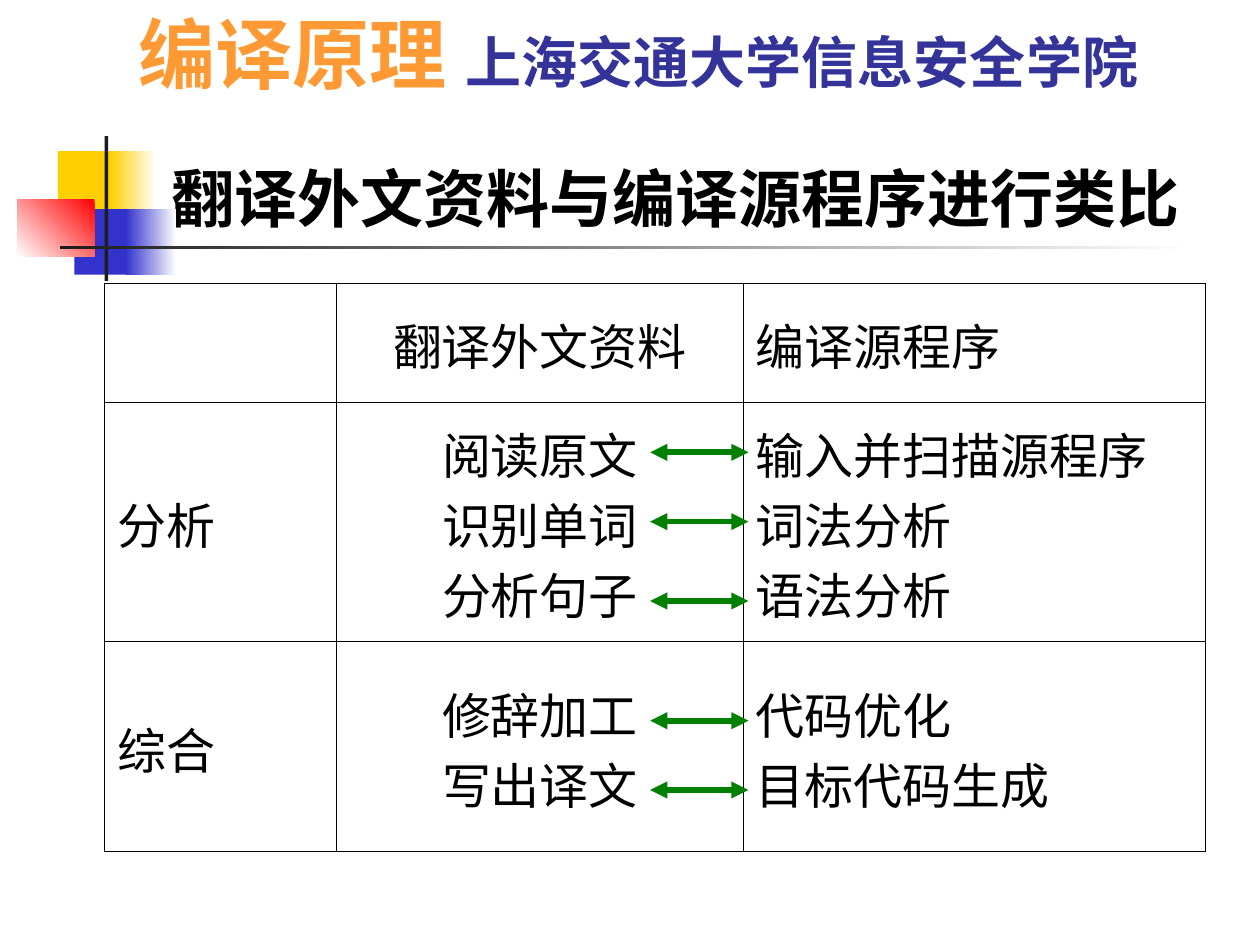
from pptx import Presentation
from pptx.dml.color import RGBColor
from pptx.enum.lang import MSO_LANGUAGE_ID as LANG
from pptx.enum.shapes import MSO_CONNECTOR as CONN, MSO_SHAPE as SHAPE
from pptx.enum.text import MSO_ANCHOR as ANCHOR, MSO_AUTO_SIZE as AUTO, PP_ALIGN as ALIGN
from pptx.oxml.ns import qn
from pptx.util import Inches, Pt
from lxml.etree import SubElement

COLS, ROWS = 100, 75
WIDTH, HEIGHT = Inches(10), Inches(7.5)
FONT = "Roboto"
COLORS = {
    "white": "FFFFFF", "black": "000000", "yellow": "FFCF01", "blue": "3333CC",
    "red": "FF0000", "bar": "1C1C1C", "orange": "FF9933", "navy": "333399",
    "green": "008000",
}
HEADER = [("编译原理 ", 44, "orange"), ("上海交通大学信息安全学院", 32, "navy")]
TITLE = "翻译外文资料与编译源程序进行类比"
TABLE = [
    ["", "翻译外文资料", "编译源程序"],
    ["分析", "阅读原文\n识别单词\n分析句子", "输入并扫描源程序\n词法分析\n语法分析"],
    ["综合", "修辞加工\n写出译文", "代码优化\n目标代码生成"],
]
COL_WIDTHS = [18.4, 32.3, 36.7]
ROW_HEIGHTS = [9.4, 19, 16.7]
ORNAMENT = [
    (3.2, 1.2, 4.8, 5.2, ["yellow"], 0),
    (7.4, 1.2, 3.6, 5.2, ["white", "yellow"], 180),
    (4.5, 5.8, 4.6, 5.2, ["blue"], 0),
    (8.6, 5.8, 4, 5.2, ["white", "blue"], 180),
    (0, 5, 6.1, 4.6, ["red", "white"], 225),
    (6.9, 0, 0.3, 11.5, ["bar"], 0),
    (3.4, 8.7, 90, 0.3, ["white", "bar"], 180),
]
ARROW_LEFT, ARROW_SPAN = 43.3, 7.8
ARROW_ROWS = [13.4, 18.9, 25.2, 34.7, 40.2]


def rgb(name):
    """Return the named colour."""
    return RGBColor.from_string(COLORS[name])


def grid(x, y, w=0, h=0):
    """Turn grid columns and rows into slide lengths."""
    cw, rh = WIDTH / COLS, HEIGHT / ROWS
    return int(x * cw), int(y * rh), int(w * cw), int(h * rh)


def format_run(r, size, color, bold=False):
    """Give a run its font, size and colour."""
    f = r.font
    f.name, f.size, f.bold = FONT, Pt(size), bold
    f.color.rgb = rgb(color)
    f.language_id = LANG.SIMPLIFIED_CHINESE
    SubElement(f._element, qn("a:ea"), typeface=FONT)


def add_ornament(s, x, y):
    """Draw the colour blocks and crossing bars from a top left corner."""
    for dx, dy, w, h, colors, angle in ORNAMENT:
        sp = s.shapes.add_shape(SHAPE.RECTANGLE, *grid(x + dx, y + dy, w, h))
        sp.shadow.inherit = False
        sp.line.fill.background()
        if len(colors) == 1:
            sp.fill.solid()
            sp.fill.fore_color.rgb = rgb(colors[0])
            continue
        sp.fill.gradient()
        sp.fill.gradient_angle = angle
        for stop, color in zip(sp.fill.gradient_stops, colors):
            stop.color.rgb = rgb(color)


def add_header(s, box):
    """Write the course and school line."""
    tf = s.shapes.add_textbox(*grid(*box)).text_frame
    tf.word_wrap = True
    for text, size, color in HEADER:
        r = tf.paragraphs[0].add_run()
        r.text = text
        format_run(r, size, color, bold=True)


def add_title(s, box):
    """Place and format the slide title."""
    sp = s.shapes.title
    sp.left, sp.top, sp.width, sp.height = grid(*box)
    tf = sp.text_frame
    tf.text = TITLE
    tf.auto_size, tf.vertical_anchor = AUTO.NONE, ANCHOR.BOTTOM
    p = tf.paragraphs[0]
    p.alignment = ALIGN.LEFT
    format_run(p.runs[0], 36, "black", bold=True)


def set_borders(cell, top):
    """Rule the four sides of a cell in black."""
    tc_pr = cell._tc.get_or_add_tcPr()
    for side in "LRTB":
        width = top if side == "T" else 0.45
        ln = SubElement(tc_pr, qn(f"a:ln{side}"), w=str(int(Pt(width))))
        fill = SubElement(ln, qn("a:solidFill"))
        SubElement(fill, qn("a:srgbClr"), val=COLORS["black"])


def fill_cell(cell, text, centred):
    """Write the lines of one table cell."""
    cell.vertical_anchor = ANCHOR.MIDDLE
    cell.margin_top = Inches(0.15)
    cell.fill.background()
    cell.text = text
    for i, p in enumerate(cell.text_frame.paragraphs):
        p.alignment = ALIGN.CENTER if centred else ALIGN.LEFT
        p.space_before = Pt(7 if i else 0)
        for r in p.runs:
            format_run(r, 28, "black")


def add_comparison(s, x, y):
    """Draw the table and the arrows that pair its columns."""
    box = grid(x, y, sum(COL_WIDTHS), sum(ROW_HEIGHTS))
    table = s.shapes.add_table(len(TABLE), len(TABLE[0]), *box).table
    table.first_row = table.horz_banding = False
    for col, w in zip(table.columns, COL_WIDTHS):
        col.width = grid(w, 0)[0]
    for i, (row, h) in enumerate(zip(table.rows, ROW_HEIGHTS)):
        row.height = grid(0, h)[1]
        for j, cell in enumerate(row.cells):
            set_borders(cell, 0.45 if i else 1.08)
            fill_cell(cell, TABLE[i][j], centred=j == 1)
    for dy in ARROW_ROWS:
        add_arrow(s, x + ARROW_LEFT, y + dy, ARROW_SPAN)


def add_arrow(s, x, y, span):
    """Draw a level arrow with two heads."""
    start, end = grid(x, y)[:2], grid(x + span, y)[:2]
    c = s.shapes.add_connector(CONN.STRAIGHT, *start, *end)
    c.line.color.rgb = rgb("green")
    c.line.width = Pt(3.25)
    ln = c.line._get_or_add_ln()
    for tag in ("a:headEnd", "a:tailEnd"):
        SubElement(ln, qn(tag), type="triangle")
    SubElement(c._element.spPr, qn("a:effectLst"))


def main():
    """Build the slide and save it."""
    prs = Presentation()
    prs.slide_width, prs.slide_height = WIDTH, HEIGHT
    s = prs.slides.add_slide(prs.slide_layouts[5])
    add_ornament(s, 1.4, 10.8)
    add_header(s, (10, 0, 90, 8.4))
    add_title(s, (12.6, 6.7, 85.2, 12.5))
    add_comparison(s, 8.3, 22.5)
    prs.save("out.pptx")


if __name__ == "__main__":
    main()
